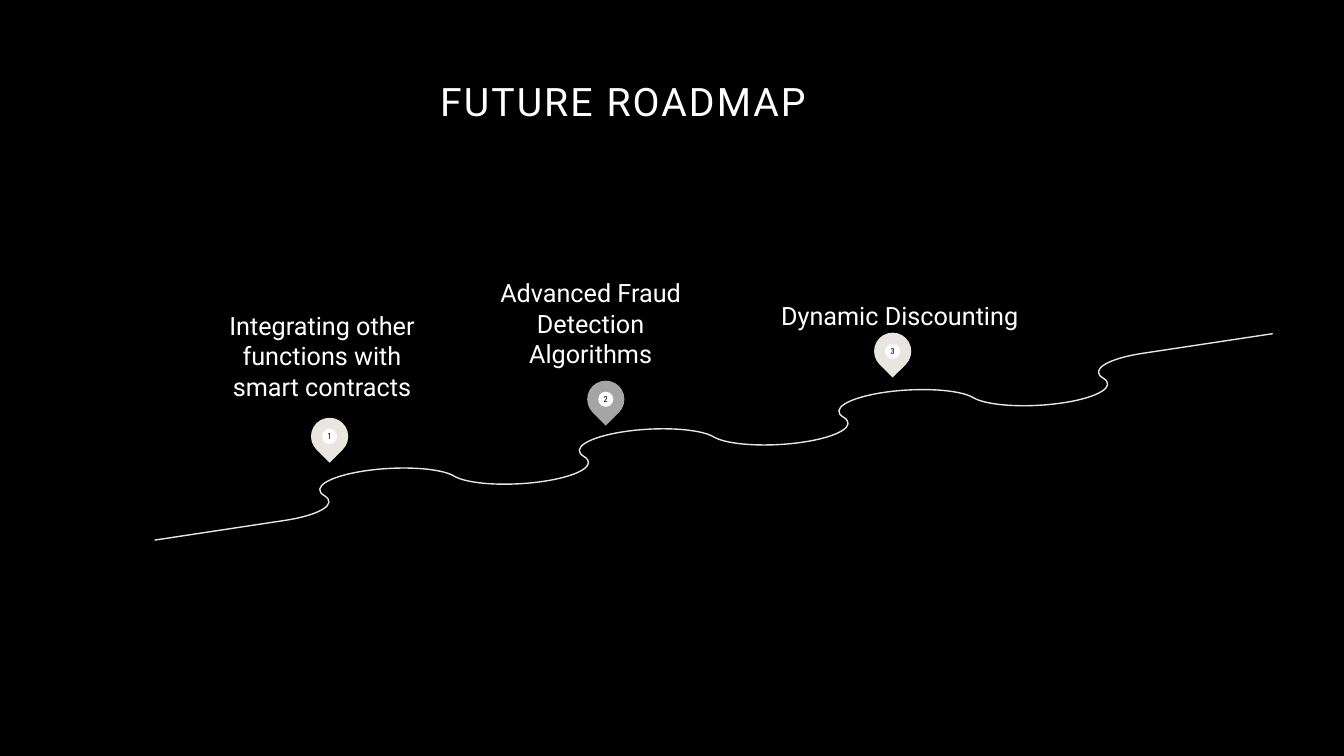
from lxml import etree
from pptx import Presentation
from pptx.dml.color import RGBColor
from pptx.enum.shapes import MSO_SHAPE
from pptx.enum.text import MSO_ANCHOR, PP_ALIGN
from pptx.oxml.ns import qn
from pptx.util import Pt

# Content: lengths in points
TITLE = "FUTURE ROADMAP"
TITLE_BOX = (280.6, 6.5, 329, 135.4)
BACKDROP_BOX = (-16.6, -5.8, 992.2, 555.1)
MILESTONES = [
    {"text": "Integrating other functions with smart contracts",
     "label": (157.7, 286.6, 144.7), "pin": (235.4, 311.7), "fill": "sand"},
    {"text": "Advanced Fraud Detection Algorithms",
     "label": (348.1, 263.1, 147.6), "pin": (432.7, 285.2), "fill": "grey"},
    {"text": "Dynamic Discounting",
     "label": (535, 235.9, 215.3), "pin": (637.6, 250.9), "fill": "sand"},
]

THEME = {
    "black": RGBColor.from_string("000000"),
    "white": RGBColor.from_string("FFFFFF"),
    "sand": RGBColor.from_string("E9E6DF"),
    "grey": RGBColor.from_string("A5A5A5"),
    "font": "Roboto",
    "badge_font": "Roboto Condensed",
    "title_size": 28,
    "label_size": 18,
    "badge_size": 6,
}

LABEL_HEIGHT = 42
PIN_SIZE, BADGE_SIZE = 26.6, 10.8

# Road: quarter-ellipse bends, slanted by two axis vectors around a centre
ROAD_CENTRE = (509.8, 312.1)
BEND_WIDTH, BEND_HEIGHT = 51.5, 39.6
ALONG, ACROSS = (0.9, -0.136), (0.45, 0.27)
LAST_BEND, ROAD_END = 7, 9
HANDLE = 0.55


def write(shape, text, *, size, color="white", font=THEME["font"],
          anchor=MSO_ANCHOR.MIDDLE, margin=0, spacing=None, tracking=None):
    frame = shape.text_frame
    frame.word_wrap = True
    frame.vertical_anchor = anchor
    if margin is not None:
        frame.margin_left = frame.margin_right = Pt(margin)
        frame.margin_top = frame.margin_bottom = Pt(margin)
    paragraph = frame.paragraphs[0]
    paragraph.alignment = PP_ALIGN.CENTER
    if spacing:
        paragraph.line_spacing = spacing
    run = paragraph.add_run()
    run.text = text
    run.font.name = font
    run.font.size = Pt(size)
    run.font.color.rgb = THEME[color]
    if tracking:
        run.font._element.set("spc", str(int(tracking * 100)))


def add_filled(shapes, kind, box, color):
    shape = shapes.add_shape(kind, *map(Pt, box))
    shape.shadow.inherit = False
    shape.fill.solid()
    shape.fill.fore_color.rgb = THEME[color]
    shape.line.fill.background()
    return shape


def add_centred(shapes, kind, centre, size, color):
    left, top = (middle - size / 2 for middle in centre)
    return add_filled(shapes, kind, (left, top, size, size), color)


def slant(bend, height):
    x, y = bend * BEND_WIDTH, height * BEND_HEIGHT
    return tuple(Pt(middle + x * along + y * across)
                 for middle, along, across in zip(ROAD_CENTRE, ALONG, ACROSS))


def bend_height(bend):
    return (0, 1, 0, -1)[bend % 4]


def bend_handles(bend):
    start, end = bend_height(bend), bend_height(bend + 1)
    if start:
        return slant(bend + HANDLE, start), slant(bend + 1, HANDLE * start)
    return slant(bend, HANDLE * end), slant(bend + 1 - HANDLE, end)


def add_road(slide):
    # Anchor points, joined by straight lines
    anchors = [slant(bend, bend_height(bend))
               for bend in range(-LAST_BEND, LAST_BEND + 1)]
    builder = slide.shapes.build_freeform(*slant(-ROAD_END, 1))
    builder.add_line_segments(anchors + [slant(ROAD_END, -1)], close=False)
    road = builder.convert_to_shape()

    # Every line between two bends becomes a curve
    lines = list(road._element.iter(qn("a:lnTo")))[1:-1]
    for bend, line in enumerate(lines, -LAST_BEND):
        line.tag = qn("a:cubicBezTo")
        for place, (x, y) in enumerate(bend_handles(bend)):
            point = etree.Element(qn("a:pt"), x=str(x - road.left),
                                  y=str(y - road.top))
            line.insert(place, point)

    road.shadow.inherit = False
    road.fill.background()
    road.line.color.rgb = THEME["sand"]
    road.line.width = Pt(1)


def add_milestone(slide, number, milestone):
    # Pin with its numbered badge
    pin = slide.shapes.add_group_shape()
    drop = add_centred(pin.shapes, MSO_SHAPE.TEAR, milestone["pin"],
                       PIN_SIZE, milestone["fill"])
    drop.rotation = 135
    badge = add_centred(pin.shapes, MSO_SHAPE.OVAL, milestone["pin"],
                        BADGE_SIZE, "white")
    write(badge, str(number), size=THEME["badge_size"], color="black",
          font=THEME["badge_font"])

    # Label growing upwards from its bottom edge
    left, bottom, width = milestone["label"]
    label = slide.shapes.add_textbox(Pt(left), Pt(bottom - LABEL_HEIGHT),
                                     Pt(width), Pt(LABEL_HEIGHT))
    write(label, milestone["text"], size=THEME["label_size"],
          anchor=MSO_ANCHOR.BOTTOM)


def main():
    deck = Presentation()
    deck.slide_width, deck.slide_height = Pt(960), Pt(540)
    slide = deck.slides.add_slide(deck.slide_layouts[5])
    title = slide.shapes.title

    # Backdrop, placed behind the title
    backdrop = add_filled(slide.shapes, MSO_SHAPE.RECTANGLE, BACKDROP_BOX,
                          "black")
    backdrop.line.color.rgb = THEME["black"]
    backdrop.line.width = Pt(1)
    title._element.addprevious(backdrop._element)

    # Title
    title.left, title.top, title.width, title.height = map(Pt, TITLE_BOX)
    write(title, TITLE, size=THEME["title_size"], margin=None, spacing=0.9,
          tracking=1.5)

    # Road and milestones
    add_road(slide)
    for number, milestone in enumerate(MILESTONES, 1):
        add_milestone(slide, number, milestone)

    deck.save("out.pptx")


if __name__ == "__main__":
    main()
